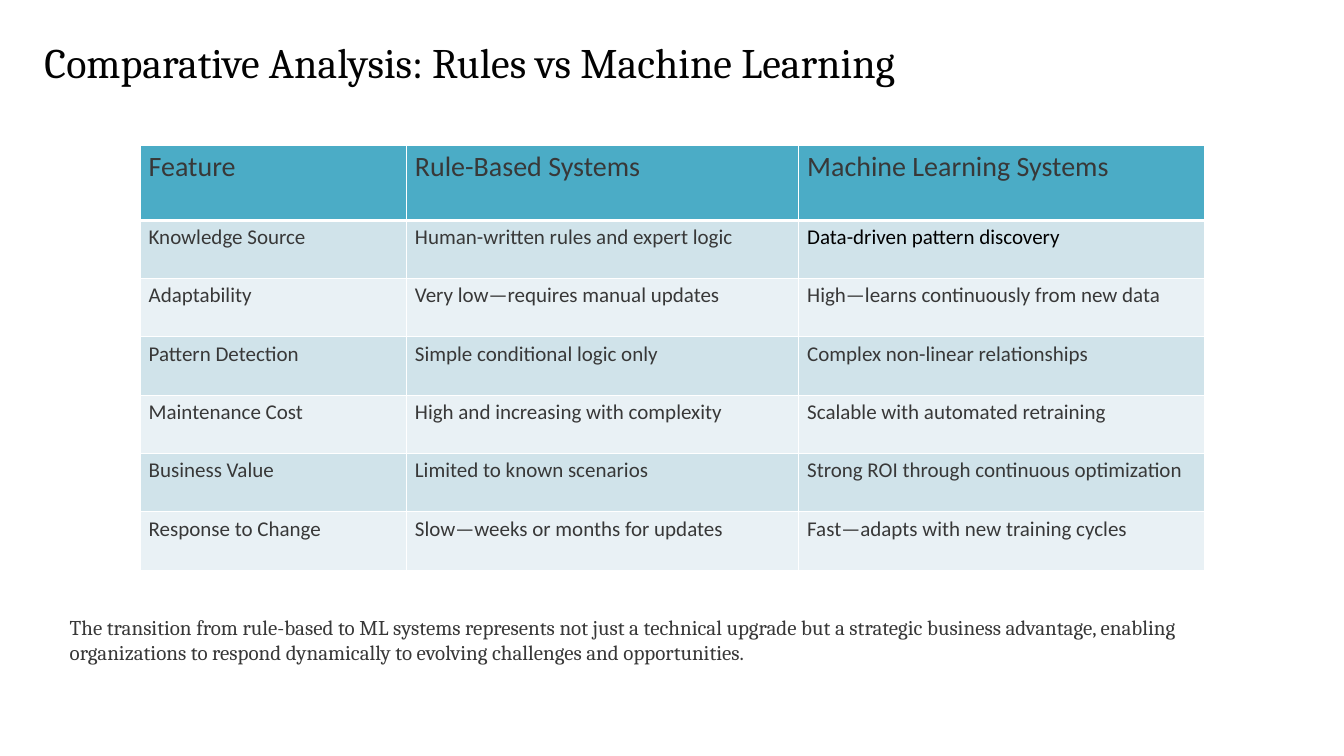
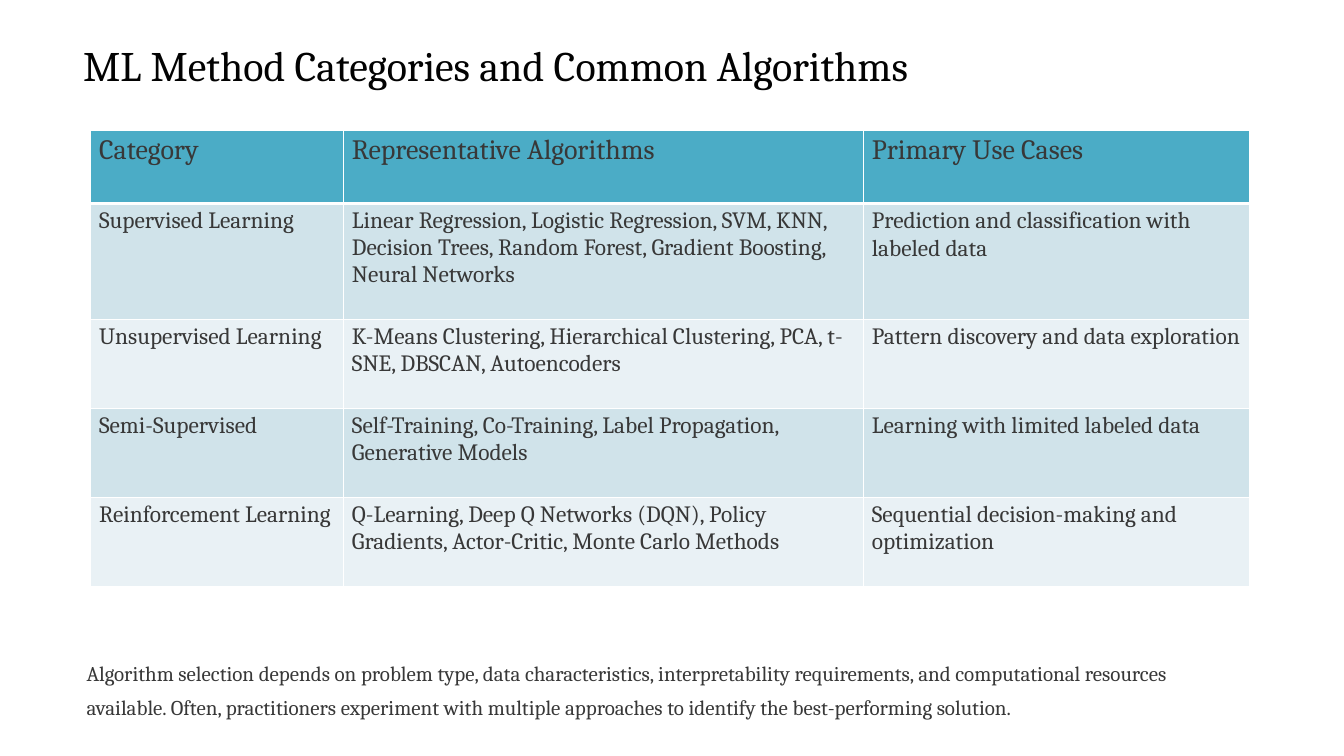
from lxml.etree import SubElement
from pptx import Presentation
from pptx.dml.color import RGBColor
from pptx.oxml.ns import qn
from pptx.util import Inches, Pt

# Shared look: a grid of 16 columns by 9 rows
WIDTH, HEIGHT = Inches(16), Inches(9)
COLUMN, ROW = WIDTH // 16, HEIGHT // 9
COLORS = {
    "title": "020202",
    "text": "383838",
    "black": "000000",
    "header": "4BACC6",
    "band_dark": "D0E3EA",
    "band_light": "E9F1F5",
    "border": "FFFFFF",
}
SERIF, SANS = "Cambria", "Calibri"
THIN, THICK = Pt(1), Pt(3)

# Table contents, header row first
COMPARISON = [
    ("Feature", "Rule-Based Systems", "Machine Learning Systems"),
    ("Knowledge Source", "Human-written rules and expert logic", "Data-driven pattern discovery"),
    ("Adaptability", "Very low—requires manual updates", "High—learns continuously from new data"),
    ("Pattern Detection", "Simple conditional logic only", "Complex non-linear relationships"),
    ("Maintenance Cost", "High and increasing with complexity", "Scalable with automated retraining"),
    ("Business Value", "Limited to known scenarios", "Strong ROI through continuous optimization"),
    ("Response to Change", "Slow—weeks or months for updates", "Fast—adapts with new training cycles"),
]
METHODS = [
    ("Category", "Representative Algorithms", "Primary Use Cases"),
    ("Supervised Learning",
     "Linear Regression, Logistic Regression, SVM, KNN, Decision Trees, "
     "Random Forest, Gradient Boosting, Neural Networks",
     "Prediction and classification with labeled data"),
    ("Unsupervised Learning",
     "K-Means Clustering, Hierarchical Clustering, PCA, t-SNE, DBSCAN, Autoencoders",
     "Pattern discovery and data exploration"),
    ("Semi-Supervised",
     "Self-Training, Co-Training, Label Propagation, Generative Models",
     "Learning with limited labeled data"),
    ("Reinforcement Learning",
     "Q-Learning, Deep Q Networks (DQN), Policy Gradients, Actor-Critic, Monte Carlo Methods",
     "Sequential decision-making and optimization"),
]


def color(name):
    return RGBColor.from_string(COLORS[name])


def write(frame, text, size, font, color_name, spacing=None):
    para = frame.paragraphs[0]
    para.text = text
    para.font.size = Pt(size)
    para.font.name = font
    para.font.bold = False
    para.font.color.rgb = color(color_name)
    if spacing:
        para.line_spacing = Pt(spacing)


def add_text(page, area, text, size, color_name, spacing=None):
    left, top, width, height = area
    box = page.shapes.add_textbox(
        int(left * COLUMN), int(top * ROW), int(width * COLUMN), int(height * ROW))
    frame = box.text_frame
    frame.word_wrap = True
    frame.margin_left = frame.margin_top = frame.margin_right = frame.margin_bottom = 0
    write(frame, text, size, SERIF, color_name, spacing)


def add_title(page, area, text, spacing=None):
    add_text(page, area, text, 36, "title", spacing)


def add_note(page, area, text, spacing=None):
    add_text(page, area, text, 18, "text", spacing)


def add_borders(cell, top, bottom):
    properties = cell._tc.get_or_add_tcPr()
    for side, width in (("L", THIN), ("R", THIN), ("T", top), ("B", bottom)):
        line = SubElement(properties, qn(f"a:ln{side}"), w=str(int(width)))
        fill = SubElement(line, qn("a:solidFill"))
        SubElement(fill, qn("a:srgbClr"), val=COLORS["border"])


def add_grid(page, corner, widths, heights, rows, font, size):
    """Draw a banded table with a heavier rule under its header."""
    left, top = corner
    table = page.shapes.add_table(
        len(rows), len(widths), int(left * COLUMN), int(top * ROW),
        int(sum(widths) * COLUMN), int(sum(heights) * ROW)).table
    table.horz_banding = False
    for column, width in zip(table.columns, widths):
        column.width = int(width * COLUMN)
    for index, (texts, height) in enumerate(zip(rows, heights)):
        table.rows[index].height = int(height * ROW)
        is_header = index == 0
        band = "header" if is_header else ("band_light", "band_dark")[index % 2]
        for cell, text in zip(table.rows[index].cells, texts):
            add_borders(cell, THICK if index == 1 else THIN, THICK if is_header else THIN)
            cell.fill.solid()
            cell.fill.fore_color.rgb = color(band)
            write(cell.text_frame, text, 24 if is_header else size, font, "text")
    return table


def add_comparison_page(page):
    add_title(page, (0.53, 0.44, 14.93, 1.21), "Comparative Analysis: Rules vs Machine Learning")
    add_note(page, (0.83, 7.31, 13.85, 0.91),
             "The transition from rule-based to ML systems represents not just a technical "
             "upgrade but a strategic business advantage, enabling organizations to respond "
             "dynamically to evolving challenges and opportunities.")
    table = add_grid(page, (1.67, 1.73), (3.17, 4.67, 4.83), [0.89] + [0.695] * 6,
                     COMPARISON, SANS, 18)
    # The data-driven entry stands out in black
    table.cell(1, 2).text_frame.paragraphs[0].font.color.rgb = color("black")


def add_methods_page(page):
    add_title(page, (0.99, 0.4, 14.93, 0.65), "ML Method Categories and Common Algorithms", 48.5)
    add_note(page, (1.03, 7.75, 13.85, 0.81),
             "Algorithm selection depends on problem type, data characteristics, "
             "interpretability requirements, and computational resources available. Often, "
             "practitioners experiment with multiple approaches to identify the "
             "best-performing solution.", 29.5)
    table = add_grid(page, (1.08, 1.55), (3.01, 6.19, 4.6), [0.87, 1.38] + [1.06] * 3,
                     METHODS, SERIF, 20)
    table.cell(1, 2).text_frame.paragraphs[0].line_spacing = Pt(23.5)


def main():
    deck = Presentation()
    deck.slide_width, deck.slide_height = WIDTH, HEIGHT
    blank = deck.slide_layouts[6]
    for build in (add_comparison_page, add_methods_page):
        build(deck.slides.add_slide(blank))
    deck.save("out.pptx")


if __name__ == "__main__":
    main()
